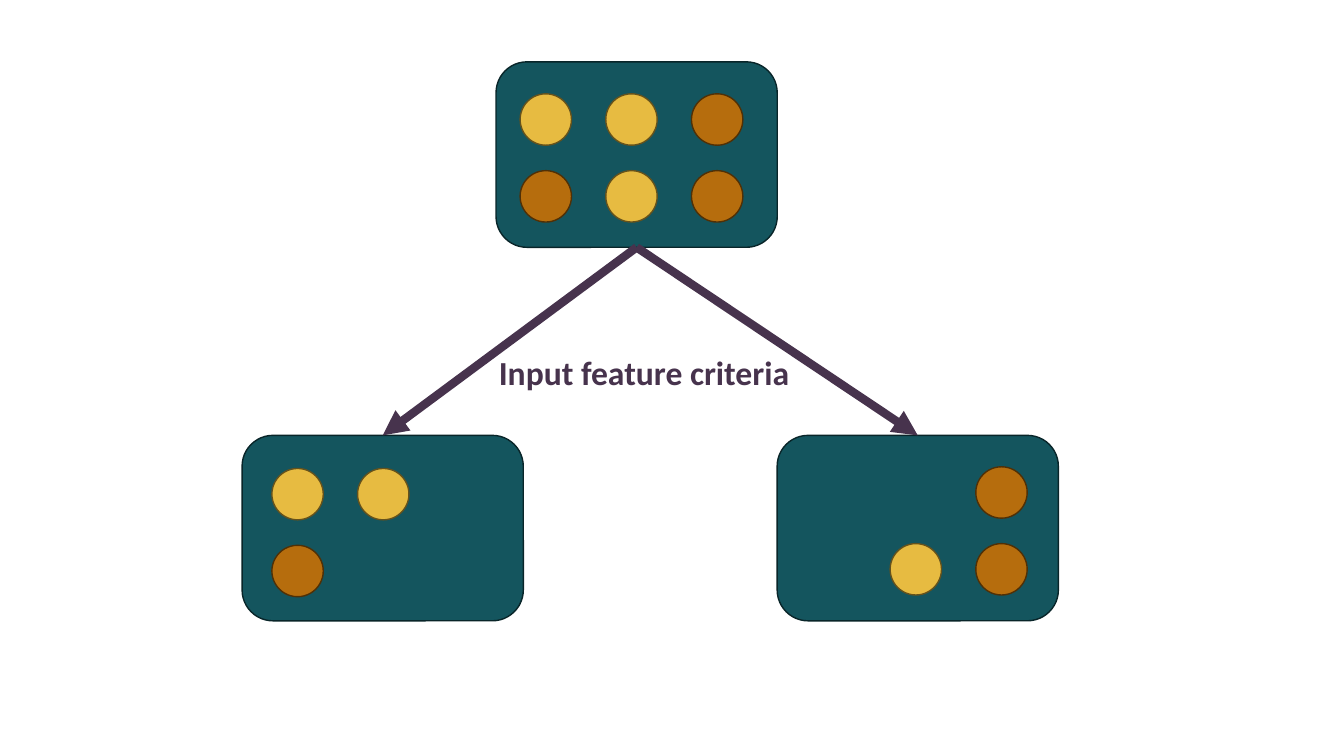
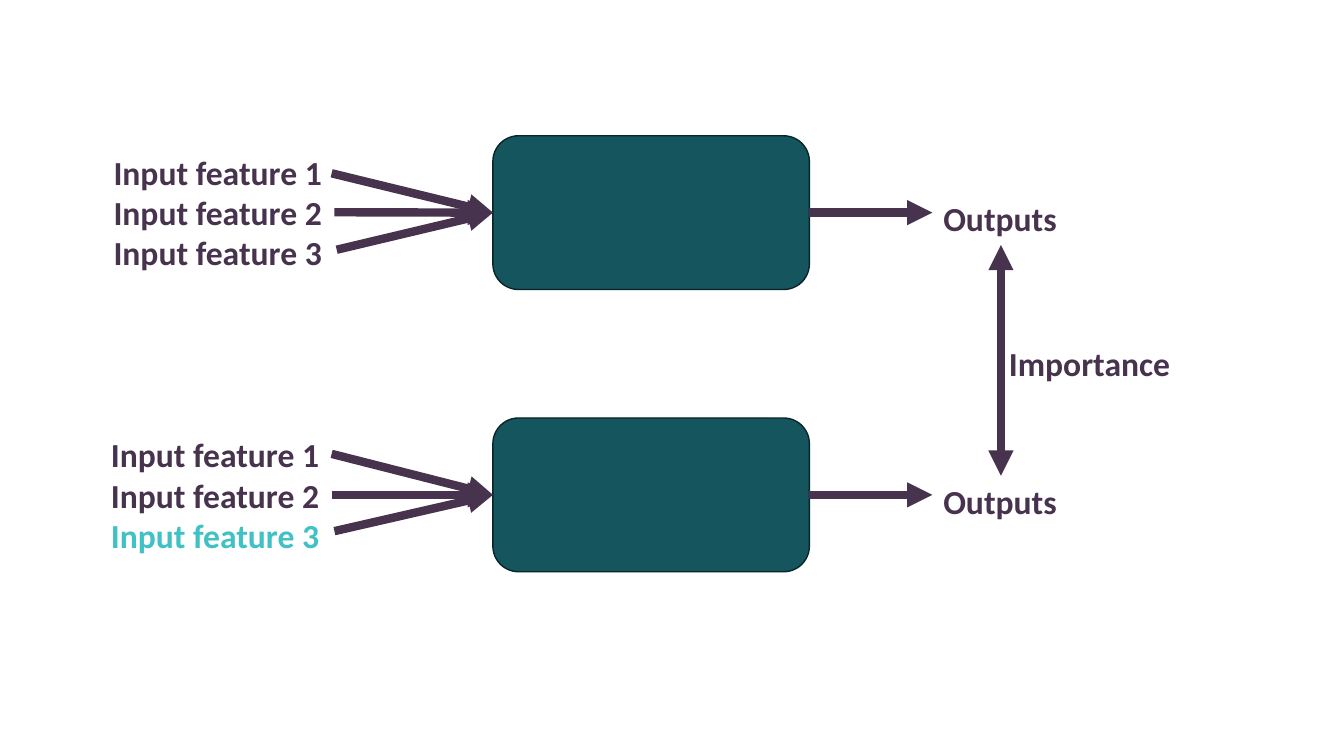
import pptx
import pptx.util
import pptx.dml.color
import pptx.enum.shapes
import pptx.enum.text
import pptx.oxml.ns
from lxml import etree

Pt = pptx.util.Pt
SHAPE = pptx.enum.shapes.MSO_SHAPE
TOP, LEFT, BOTTOM, RIGHT = range(4)

COLORS = {
    "box": "14555E", "box_line": "092529",
    "gold": "E7BB41", "gold_line": "65521C",
    "rust": "B66D0D", "rust_line": "503006",
    "ink": "47334D", "accent": "40C1C5",
}
FONT, FONT_SIZE, ARROW_WIDTH = "Calibri", 24, 6

# Slide 1: a parent node split in two; each node has a grid of samples
NODE_SIZE = (200.9, 132.5)
DOT, DOT_PITCH = 36.7, (61.2, 54.9)
SAMPLES = {"G": "gold", "R": "rust"}
PARENT = {"at": (354.3, 44.2), "grid_at": (371.5, 67), "rows": ["GGR", "RGR"]}
CHILDREN = [
    {"at": (172.9, 311), "grid_at": (194.2, 334.6), "rows": ["GG ", "R  "]},
    {"at": (555.1, 311), "grid_at": (574.6, 333.4), "rows": ["  R", " GR"]},
]
CRITERIA = ("Input feature criteria", (349.2, 247.7, 223.9, 36))

# Slide 2: two model runs, the second with one changed feature
FEATURES = ["Input feature 1", "Input feature 2", "Input feature 3"]
MODEL_X, MODEL_SIZE = 352.1, (226.1, 109.8)
RUNS = [
    {"top": 97, "text_at": (74, 104.6), "changed": None,
     "starts": [(236.9, 123.8), (238.9, 151.6), (240.5, 178.4)]},
    {"top": 298.6, "text_at": (72.1, 306.7), "changed": 2,
     "starts": [(236.9, 324.2), (236.9, 353.5), (238.9, 379.4)]},
]
OUTPUT_X = 666
IMPORTANCE = ("Importance", (713.6, 241.2, 131, 36))
IMPORTANCE_X, IMPORTANCE_Y = 715, (175, 339.8)


def rgb(name):
    return pptx.dml.color.RGBColor.from_string(COLORS[name])


def add_shape(slide, kind, x, y, w, h, color):
    sp = slide.shapes.add_shape(kind, Pt(x), Pt(y), Pt(w), Pt(h))
    sp.shadow.inherit = False
    sp.fill.solid()
    sp.fill.fore_color.rgb = rgb(color)
    sp.line.color.rgb = rgb(color + "_line")
    sp.line.width = Pt(1)
    return sp


def add_arrow(slide, start, end, source=None, target=None, both=False):
    """Source and target are (shape, side) pairs to join."""
    line = slide.shapes.add_connector(
        pptx.enum.shapes.MSO_CONNECTOR.STRAIGHT, *map(Pt, start + end))
    if source:
        line.begin_connect(*source)
    if target:
        line.end_connect(*target)
    line.line.color.rgb = rgb("ink")
    line.line.width = Pt(ARROW_WIDTH)
    qn = pptx.oxml.ns.qn
    ln = line.line._get_or_add_ln()
    for tag in (["a:headEnd"] if both else []) + ["a:tailEnd"]:
        etree.SubElement(ln, qn(tag)).set("type", "triangle")
    etree.SubElement(line._element.spPr, qn("a:effectLst"))


def add_text(slide, lines, box, accent=None):
    tf = slide.shapes.add_textbox(*map(Pt, box)).text_frame
    tf.word_wrap = False
    tf.auto_size = pptx.enum.text.MSO_AUTO_SIZE.SHAPE_TO_FIT_TEXT
    tf.text = "\n".join(lines)
    for i, p in enumerate(tf.paragraphs):
        font = p.runs[0].font
        font.name, font.size, font.bold = FONT, Pt(FONT_SIZE), True
        font.color.rgb = rgb("accent" if i == accent else "ink")


def add_node(slide, node):
    sp = add_shape(slide, SHAPE.ROUNDED_RECTANGLE, *node["at"], *NODE_SIZE, "box")
    x0, y0 = node["grid_at"]
    for row, samples in enumerate(node["rows"]):
        for col, sample in enumerate(samples):
            if sample in SAMPLES:
                add_shape(slide, SHAPE.OVAL, x0 + col * DOT_PITCH[0],
                          y0 + row * DOT_PITCH[1], DOT, DOT, SAMPLES[sample])
    return sp


def build_split(slide):
    parent = add_node(slide, PARENT)
    w, h = NODE_SIZE
    px, py = PARENT["at"]
    for node in CHILDREN:
        child = add_node(slide, node)
        x, y = node["at"]
        add_arrow(slide, (px + w / 2, py + h), (x + w / 2, y),
                  (parent, BOTTOM), (child, TOP))
    text, box = CRITERIA
    add_text(slide, [text], box)


def build_importance(slide):
    w, h = MODEL_SIZE
    for run in RUNS:
        middle = run["top"] + h / 2
        model = add_shape(slide, SHAPE.ROUNDED_RECTANGLE,
                          MODEL_X, run["top"], w, h, "box")
        add_text(slide, FEATURES, (*run["text_at"], 164.9, 94.3), run["changed"])
        for start in run["starts"]:
            add_arrow(slide, start, (MODEL_X, middle), target=(model, LEFT))
        add_arrow(slide, (MODEL_X + w, middle), (OUTPUT_X, middle),
                  source=(model, RIGHT))
        add_text(slide, ["Outputs"], (OUTPUT_X + 0.7, middle - 13.7, 96.5, 36))
    # Comparison of the two outputs
    top, bottom = IMPORTANCE_Y
    add_arrow(slide, (IMPORTANCE_X, top), (IMPORTANCE_X, bottom), both=True)
    text, box = IMPORTANCE
    add_text(slide, [text], box)


def main():
    prs = pptx.Presentation()
    prs.slide_width, prs.slide_height = Pt(960), Pt(540)
    for build in (build_split, build_importance):
        build(prs.slides.add_slide(prs.slide_layouts[6]))
    prs.save("out.pptx")


if __name__ == "__main__":
    main()
